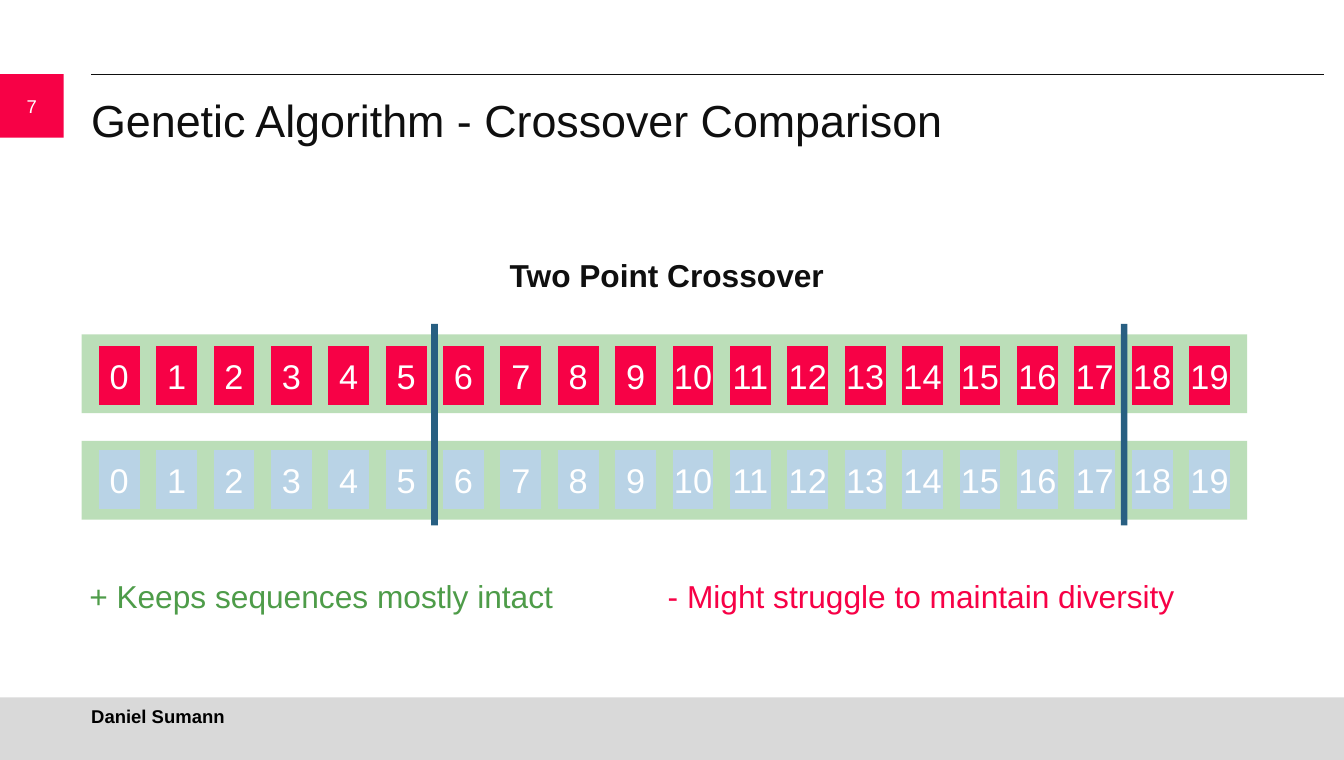
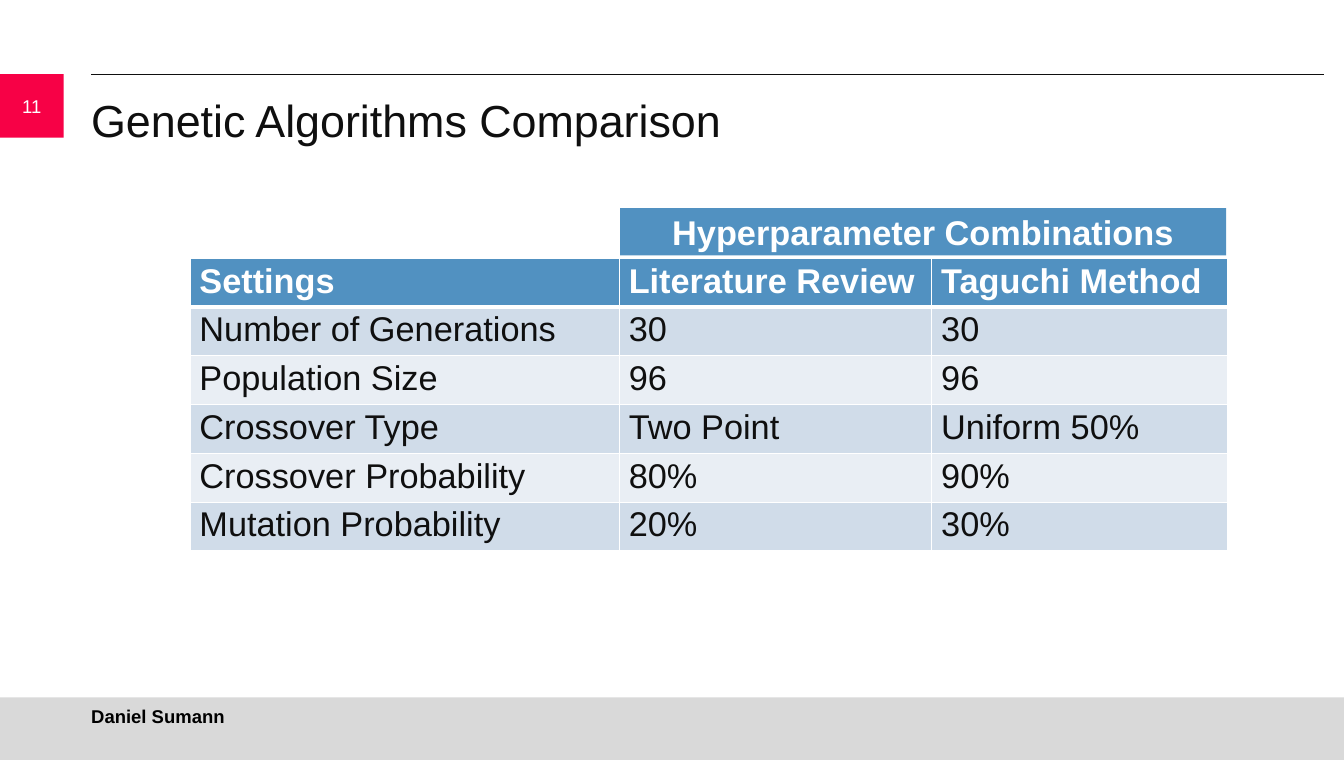
"""Build two slides that compare the crossover and settings of genetic algorithms."""
import dataclasses

import lxml.etree
import pptx
import pptx.dml.color
import pptx.enum.shapes
import pptx.enum.text
import pptx.oxml.ns
import pptx.util

Inches = pptx.util.Inches
Pt = pptx.util.Pt
qn = pptx.oxml.ns.qn
RECTANGLE = pptx.enum.shapes.MSO_SHAPE.RECTANGLE
PROCESS = pptx.enum.shapes.MSO_SHAPE.FLOWCHART_PROCESS
TOP = pptx.enum.text.MSO_ANCHOR.TOP
MIDDLE = pptx.enum.text.MSO_ANCHOR.MIDDLE
LEFT = pptx.enum.text.PP_ALIGN.LEFT
CENTER = pptx.enum.text.PP_ALIGN.CENTER


@dataclasses.dataclass(frozen=True)
class Theme:
    font: str = "Arial"
    ink: str = "0F0F0F"
    black: str = "000000"
    white: str = "FFFFFF"
    red: str = "F70146"
    grey: str = "D9D9D9"
    green: str = "78BE73"
    dark_green: str = "4E9C49"
    pale_blue: str = "B9D3E6"
    navy: str = "285F82"
    header_blue: str = "5191C1"
    bands: tuple = ("E9EEF4", "D0DCE9")
    title_size: int = 34
    cell_size: int = 26
    body_size: int = 24
    small_size: int = 14


theme = Theme()


def write(frame, text, size=theme.body_size, color=theme.ink, bold=False,
          align=LEFT, anchor=TOP, margins=(0, 0, 0, 0), wrap=True):
    frame.word_wrap = wrap
    frame.vertical_anchor = anchor
    (frame.margin_left, frame.margin_top,
     frame.margin_right, frame.margin_bottom) = map(Inches, margins)
    paragraph = frame.paragraphs[0]
    paragraph.text = text
    paragraph.alignment = align
    paragraph.font.name = theme.font
    paragraph.font.size = Pt(size)
    paragraph.font.bold = bold
    paragraph.font.color.rgb = pptx.dml.color.RGBColor.from_string(color)


def add_block(slide, place, color, kind=RECTANGLE, opacity=100):
    block = slide.shapes.add_shape(kind, *map(Inches, place))
    block.shadow.inherit = False
    block.line.fill.background()
    block.fill.solid()
    block.fill.fore_color.rgb = pptx.dml.color.RGBColor.from_string(color)
    if opacity < 100:
        tint = block._element.spPr.find(qn("a:solidFill"))[0]
        lxml.etree.SubElement(tint, qn("a:alpha"), val=str(opacity * 1000))
    return block


deck = pptx.Presentation()
deck.slide_width = Inches(14.15)
deck.slide_height = Inches(8)
blank_layout = deck.slide_layouts[6]

headings = {"7": "Genetic Algorithm - Crossover Comparison",
            "11": "Genetic Algorithms Comparison"}
for page_number, heading in headings.items():
    slide = deck.slides.add_slide(blank_layout)
    page_marker = add_block(slide, (0, 0.78, 0.67, 0.67), theme.red)
    write(page_marker.text_frame, page_number, size=theme.small_size,
          color=theme.white, align=CENTER, anchor=MIDDLE)
    add_block(slide, (0, 7.34, 14.15, 0.66), theme.grey)
    title_rule = slide.shapes.add_connector(
        pptx.enum.shapes.MSO_CONNECTOR.STRAIGHT,
        Inches(0.96), Inches(0.78), Inches(13.94), Inches(0.78))
    title_rule.line.width = Pt(0.5)
    title_rule.line.color.rgb = pptx.dml.color.RGBColor.from_string(theme.ink)
    lxml.etree.SubElement(title_rule._element.spPr, qn("a:effectLst"))
    title = slide.shapes.add_textbox(*map(Inches, (0.96, 0.98, 12.99, 0.67)))
    write(title.text_frame, heading, size=theme.title_size)
    author = slide.shapes.add_textbox(*map(Inches, (0.96, 7.42, 12.81, 0.24)))
    write(author.text_frame, "Daniel Sumann", size=theme.small_size,
          color=theme.black, bold=True, anchor=MIDDLE)

crossover_slide, settings_slide = deck.slides

gene_count = 20
first_gene, last_gene = 1.04, 12.52
gene_pitch = (last_gene - first_gene) / (gene_count - 1)
for parent_top, gene_top, gene_color in ((3.52, 3.64, theme.red),
                                         (4.64, 4.74, theme.pale_blue)):
    add_block(crossover_slide, (0.86, parent_top, 12.27, 0.83), theme.green,
              opacity=50)
    for gene in range(gene_count):
        gene_box = add_block(
            crossover_slide,
            (first_gene + gene * gene_pitch, gene_top, 0.43, 0.62),
            gene_color, kind=PROCESS)
        write(gene_box.text_frame, str(gene), size=theme.cell_size,
              color=theme.white, align=CENTER, anchor=MIDDLE, wrap=False)

for cut_left in (4.54, 11.8):
    add_block(crossover_slide, (cut_left, 3.41, 0.07, 2.12), theme.navy)

remarks = (
    ("Two Point Crossover", (5.35, 2.64, 3.44, 0.5),
     {"bold": True, "align": CENTER}),
    ("+ Keeps sequences mostly intact", (0.94, 6.02, 6.08, 0.5),
     {"color": theme.dark_green}),
    ("- Might struggle to maintain diversity", (7.03, 6.02, 6.08, 0.5),
     {"color": theme.red}),
)
for remark, place, style in remarks:
    remark_box = crossover_slide.shapes.add_textbox(*map(Inches, place))
    write(remark_box.text_frame, remark, margins=(0, 0.05, 0.1, 0.05), **style)

settings = (
    ("Settings", "Literature Review", "Taguchi Method"),
    ("Number of Generations", "30", "30"),
    ("Population Size", "96", "96"),
    ("Crossover Type", "Two Point", "Uniform 50%"),
    ("Crossover Probability", "80%", "90%"),
    ("Mutation Probability", "20%", "30%"),
)
settings_table = settings_slide.shapes.add_table(
    len(settings), 3, *map(Inches, (2, 2.72, 10.92, 3))).table
settings_table.first_row = False
settings_table.horz_banding = False
for column, width in zip(settings_table.columns, (4.52, 3.29, 3.11)):
    column.width = Inches(width)

for row_index, values in enumerate(settings):
    settings_table.rows[row_index].height = Inches(0.5)
    is_header = row_index == 0
    for column_index, value in enumerate(values):
        cell = settings_table.cell(row_index, column_index)
        write(cell.text_frame, value, size=theme.cell_size, bold=is_header,
              color=theme.white if is_header else theme.ink)
        cell.margin_left = cell.margin_right = Inches(0.1)
        cell.margin_top = cell.margin_bottom = Inches(0.04)
        cell_format = cell._tc.get_or_add_tcPr()
        for side in ("lnL", "lnR", "lnT", "lnB"):
            thick = (row_index, side) in ((0, "lnB"), (1, "lnT"))
            border = lxml.etree.SubElement(cell_format, qn("a:" + side),
                                           w=str(Pt(3 if thick else 1)))
            border_fill = lxml.etree.SubElement(border, qn("a:solidFill"))
            lxml.etree.SubElement(border_fill, qn("a:srgbClr"), val=theme.white)
        cell.fill.solid()
        cell.fill.fore_color.rgb = pptx.dml.color.RGBColor.from_string(
            theme.header_blue if is_header else theme.bands[row_index % 2])

combinations = add_block(settings_slide, (6.53, 2.19, 6.38, 0.5),
                         theme.header_blue)
write(combinations.text_frame, "Hyperparameter Combinations",
      size=theme.cell_size, color=theme.white, bold=True, align=CENTER,
      anchor=MIDDLE, margins=(0.1, 0.05, 0.1, 0.05))

deck.save("out.pptx")
